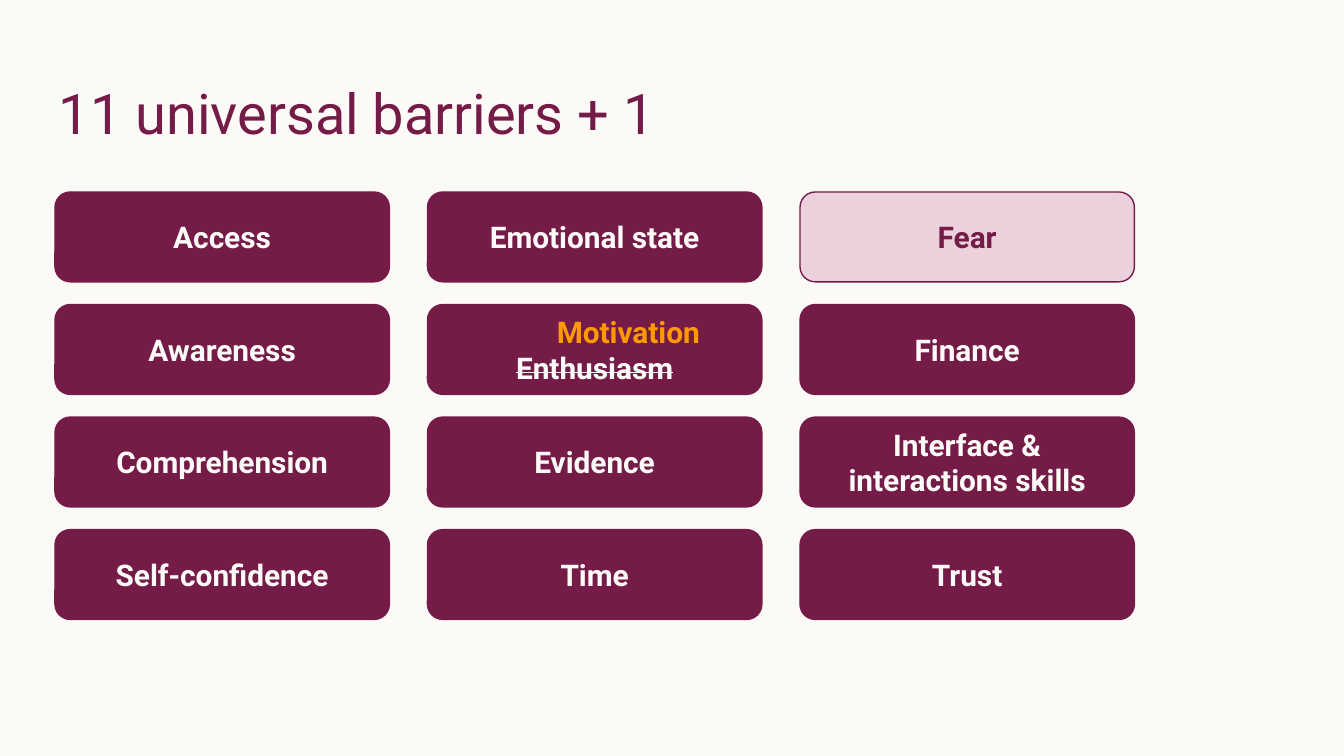
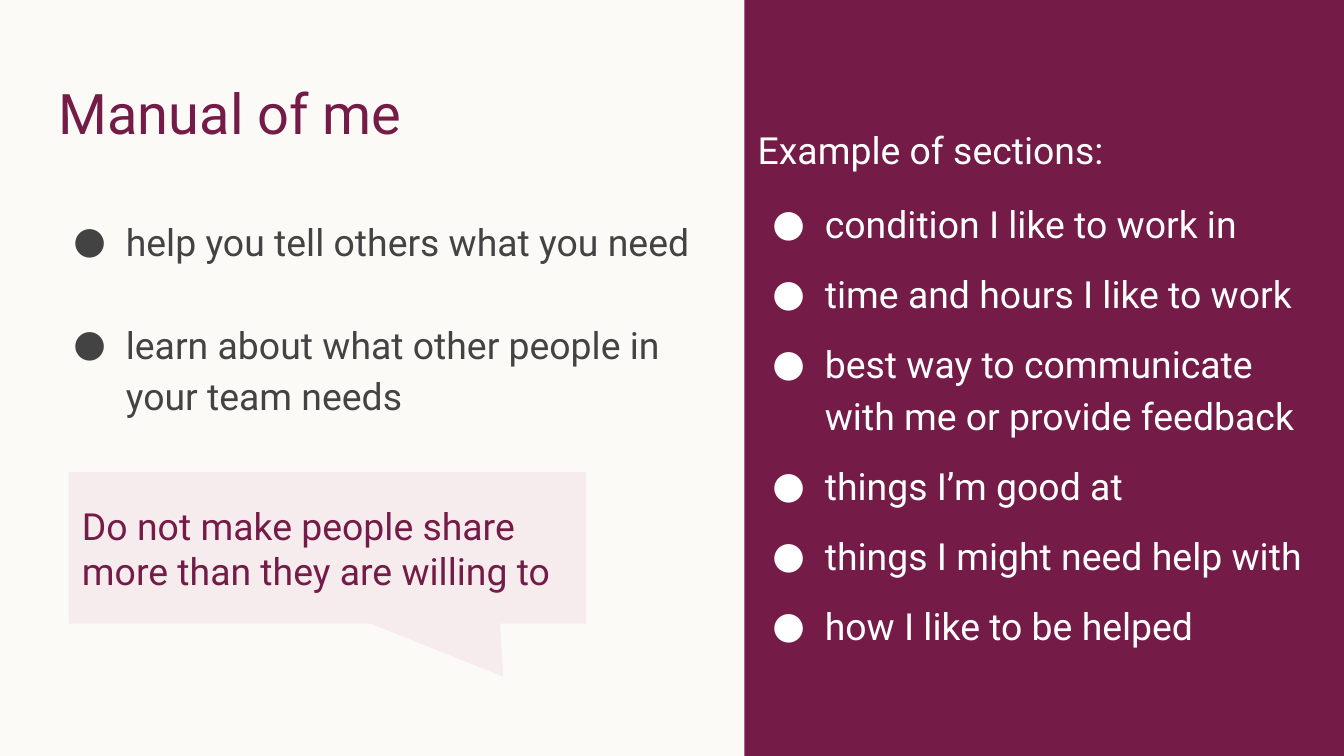
from lxml import etree
from pptx import Presentation
from pptx import util as u
from pptx.dml.color import RGBColor
from pptx.enum import shapes, text
from pptx.oxml.ns import qn

COLORS = {
    "paper": "FCFAF7",
    "plum": "741B47",
    "pink": "EAD1DC",
    "orange": "FF9900",
    "grey": "434343",
    "white": "FFFFFF",
}
FONT = "Roboto"
INSET = 0.25
BULLET_INDENT, BULLET_HANG = 1.27, 0.99

# Boxes in cm: left, top, width, height
SLIDE_SIZE = (25.4, 14.29)
TITLE_BOX = (0.86, 1.24, 23.67, 1.6)
BARRIER_BOX = (1.04, 3.63, 20.4, 8.08)
ADVICE_BOX = (0.86, 3.76, 12.57, 8.94)
CALLOUT_BOX = (1.3, 8.92, 9.78, 2.87)
PANEL_BOX = (14.07, 0, 11.33, 14.29)

BARRIERS = [
    ["Access", "Emotional state", "Fear"],
    ["Awareness", "Enthusiasm", "Finance"],
    ["Comprehension", "Evidence", "Interface & interactions skills"],
    ["Self-confidence", "Time", "Trust"],
]
ADVICE = [
    "help you tell others what you need",
    "learn about what other people in your team needs",
]
SECTIONS = [
    "condition I like to work in",
    "time and hours I like to work",
    "best way to communicate with me or provide feedback",
    "things I’m good at",
    "things I might need help with",
    "how I like to be helped",
]


def rgb(name):
    return RGBColor.from_string(COLORS[name])


def cm_box(box):
    return [u.Cm(length) for length in box]


def prepare_frame(frame, anchor=text.MSO_ANCHOR.TOP, top=INSET):
    frame.word_wrap = True
    frame.vertical_anchor = anchor
    frame.margin_left = frame.margin_right = frame.margin_bottom = u.Cm(INSET)
    frame.margin_top = u.Cm(top)
    return frame


def set_indent(paragraph, left, first=0):
    properties = paragraph._p.get_or_add_pPr()
    properties.set("marL", str(u.Cm(left)))
    properties.set("indent", str(u.Cm(first)))
    return properties


def add_bullet(paragraph, color):
    properties = set_indent(paragraph, BULLET_INDENT, -BULLET_HANG)
    bullet_color = etree.SubElement(properties, qn("a:buClr"))
    etree.SubElement(bullet_color, qn("a:srgbClr"), val=COLORS[color])
    etree.SubElement(properties, qn("a:buFont"), typeface=FONT)
    etree.SubElement(properties, qn("a:buChar"), char="●")


def write(frame, words, size=20, color="plum", bold=False, strike=False,
          align=text.PP_ALIGN.LEFT, indent=0, bullet=False, spacing=None, before=0):
    """Add one paragraph, using the frame's empty first one if there is one."""
    first = frame.paragraphs[0]
    paragraph = frame.add_paragraph() if first.runs else first
    if bullet:
        add_bullet(paragraph, color)
    elif indent:
        set_indent(paragraph, indent)
    paragraph.alignment = align
    if spacing:
        paragraph.line_spacing = spacing
    if before:
        paragraph.space_before = u.Pt(before)
    run = paragraph.add_run()
    run.text = words
    run.font.name, run.font.size, run.font.bold = FONT, u.Pt(size), bold
    run.font.color.rgb = rgb(color)
    if strike:
        run._r.get_or_add_rPr().set("strike", "sngStrike")


def add_block(slide, kind, box, fill, line=None, alpha=None, adjustments=()):
    block = slide.shapes.add_shape(kind, *cm_box(box))
    block.shadow.inherit = False
    block.fill.solid()
    block.fill.fore_color.rgb = rgb(fill)
    if alpha:
        color = block.fill._xPr.find(qn("a:solidFill"))[0]
        etree.SubElement(color, qn("a:alpha"), val=str(alpha * 1000))
    if line:
        block.line.color.rgb = rgb(line)
        block.line.width = u.Pt(0.75)
    else:
        block.line.fill.background()
    for index, value in enumerate(adjustments):
        block.adjustments[index] = value
    return block


def add_titled_slide(deck, title):
    slide = deck.slides.add_slide(deck.slide_layouts[6])
    slide.background.fill.solid()
    slide.background.fill.fore_color.rgb = rgb("paper")
    heading = slide.shapes.add_textbox(*cm_box(TITLE_BOX))
    write(prepare_frame(heading.text_frame), title, size=30)
    return slide


# Grid of barrier cards, with the added one highlighted
def add_barriers(slide, box, gap_x=0.72, gap_y=0.43):
    left, top, width, height = box
    rows, columns = len(BARRIERS), len(BARRIERS[0])
    card_width = (width - gap_x * (columns - 1)) / columns
    card_height = (height - gap_y * (rows - 1)) / rows
    for row, names in enumerate(BARRIERS):
        for column, name in enumerate(names):
            added, renamed = name == "Fear", name == "Enthusiasm"
            card = add_block(
                slide, shapes.MSO_SHAPE.ROUNDED_RECTANGLE,
                (left + column * (card_width + gap_x),
                 top + row * (card_height + gap_y), card_width, card_height),
                "pink" if added else "plum", line="plum", adjustments=[0.17])
            label = prepare_frame(card.text_frame, text.MSO_ANCHOR.MIDDLE)
            if renamed:
                write(label, "Motivation", size=16, color="orange", bold=True,
                      indent=2.11)
            write(label, name, size=16, color="plum" if added else "paper",
                  bold=True, strike=renamed, align=text.PP_ALIGN.CENTER)


# Reasons to write a manual
def add_advice(slide, box):
    advice = slide.shapes.add_textbox(*cm_box(box))
    frame = prepare_frame(advice.text_frame)
    for index, reason in enumerate(ADVICE):
        write(frame, reason, color="grey", bullet=True, spacing=1.15,
              before=27.5 if index else 0)


# Speech bubble with a warning
def add_callout(slide, box):
    warning = add_block(slide, shapes.MSO_SHAPE.RECTANGULAR_CALLOUT, box, "pink",
                        alpha=32, adjustments=[0.34, 0.85])
    write(prepare_frame(warning.text_frame, text.MSO_ANCHOR.MIDDLE),
          "Do not make people share more than they are willing to")


# Side panel listing example sections
def add_sections_panel(slide, box):
    panel = add_block(slide, shapes.MSO_SHAPE.RECTANGLE, box, "plum")
    frame = prepare_frame(panel.text_frame, top=2.4)
    write(frame, "Example of sections:", color="white")
    for index, section in enumerate(SECTIONS):
        write(frame, section, color="white", bullet=True, spacing=1.15,
              before=10 if index else 12)


def main():
    deck = Presentation()
    deck.slide_width, deck.slide_height = cm_box(SLIDE_SIZE)

    barriers = add_titled_slide(deck, "11 universal barriers + 1")
    add_barriers(barriers, BARRIER_BOX)

    manual = add_titled_slide(deck, "Manual of me")
    add_advice(manual, ADVICE_BOX)
    add_callout(manual, CALLOUT_BOX)
    add_sections_panel(manual, PANEL_BOX)

    deck.save("out.pptx")


if __name__ == "__main__":
    main()
